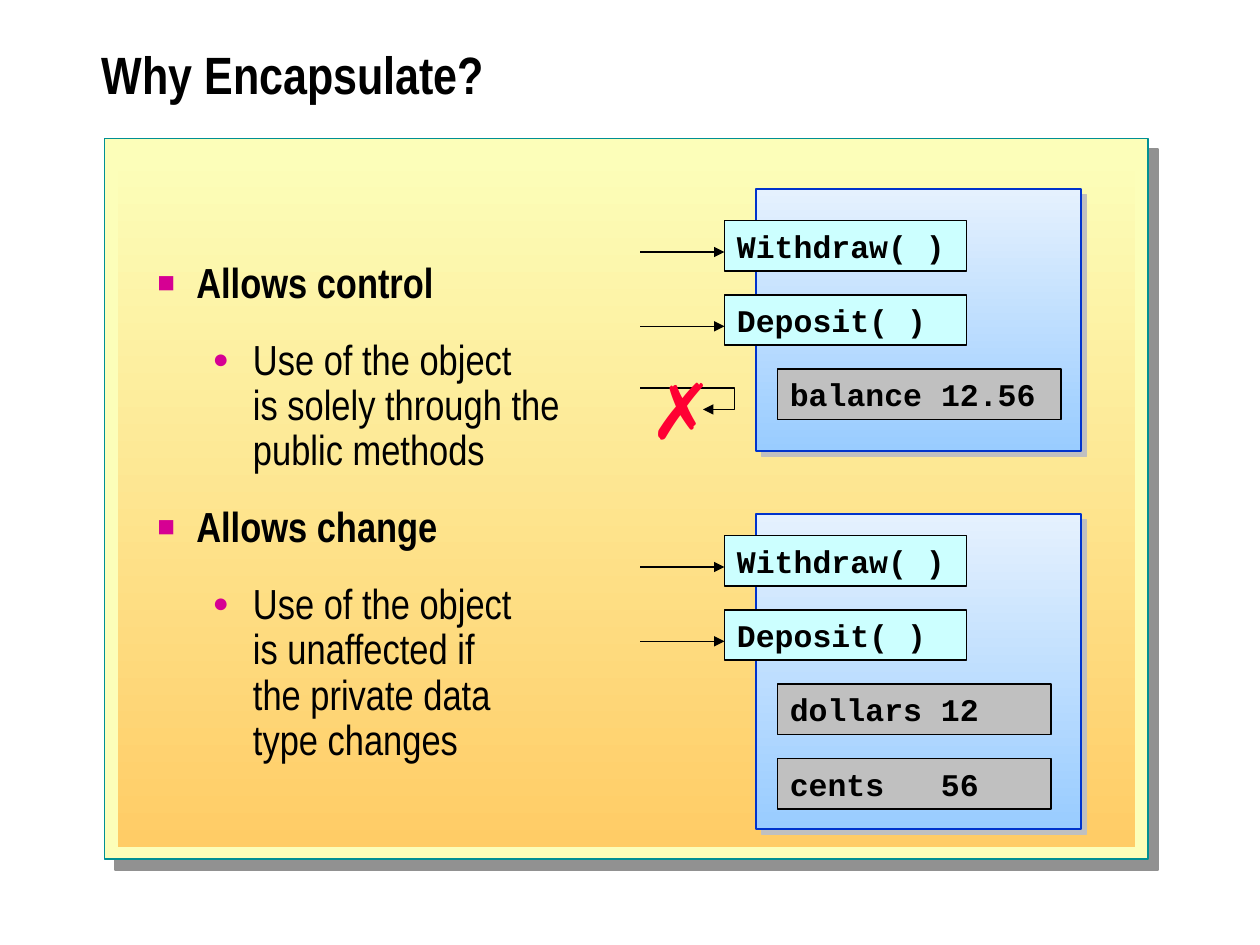
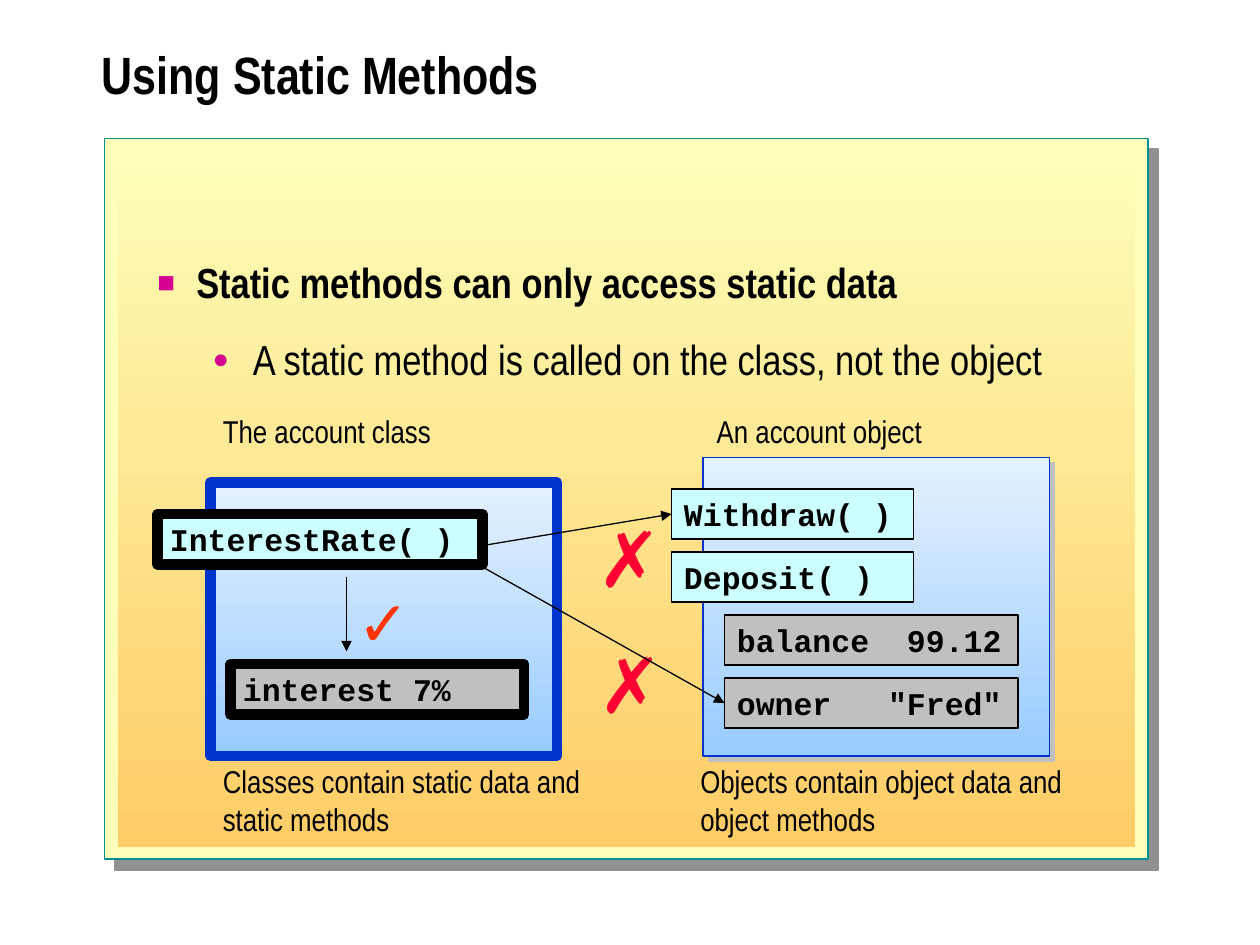
from lxml import etree
from pptx import Presentation
from pptx.dml.color import RGBColor
from pptx.enum.shapes import MSO_CONNECTOR, MSO_SHAPE
from pptx.enum.text import MSO_ANCHOR, MSO_AUTO_SIZE, PP_ALIGN
from pptx.oxml.ns import qn
from pptx.util import Inches, Pt

RECTANGLE = MSO_SHAPE.RECTANGLE
STRAIGHT, ELBOW = MSO_CONNECTOR.STRAIGHT, MSO_CONNECTOR.ELBOW
TOP, MIDDLE = MSO_ANCHOR.TOP, MSO_ANCHOR.MIDDLE
LEFT = PP_ALIGN.LEFT
FIT_SHAPE = MSO_AUTO_SIZE.SHAPE_TO_FIT_TEXT

BLACK = "000000"
PANEL_TOP, PANEL_BOTTOM = "FCFEB9", "FFCC66"
PANEL_LINE, PANEL_SHADOW = "009094", "919191"
OBJECT_TOP, OBJECT_BOTTOM = "E5F1FE", "99CCFF"
OBJECT_LINE, GREY = "0033CC", "C0C0C0"
METHOD_FILL = "CCFFFF"
BULLET = "D60093"
CROSS_RED, TICK_RED = "FF0033", "FF3300"

HEADING_FONT, CODE_FONT, MARK_FONT = "Arial Narrow", "Courier New", "Arial"
ROW_HEIGHT = 0.4
ARROW_DROP = 0.25
# Bullet character, size in percent, left margin and hanging indent per level
BULLET_LEVELS = [("■", 70, 0.31, 0.31), ("●", 65, 0.76, 0.32)]


def rgb(hex_colour):
    return RGBColor.from_string(hex_colour)


def add_xml(parent, tag, **attributes):
    values = {name: str(value) for name, value in attributes.items()}
    return etree.SubElement(parent, qn(tag), values)


def format_text(paragraph, font, size, colour=BLACK, bold=False):
    paragraph.alignment = LEFT
    for run in paragraph.runs:
        run.font.name = font
        run.font.size = Pt(size)
        run.font.bold = bold
        run.font.color.rgb = rgb(colour)


def fill_solid(shape, colour):
    shape.fill.solid()
    shape.fill.fore_color.rgb = rgb(colour)


def fill_downwards(shape, top_colour, bottom_colour):
    shape.fill.gradient()
    shape.fill.gradient_angle = 270
    for stop, colour, position in zip(
            shape.fill.gradient_stops, (top_colour, bottom_colour), (0, 1)):
        stop.color.rgb = rgb(colour)
        stop.position = position


def add_rectangle(slide, left, top, width, height, line=None, weight=1):
    rectangle = slide.shapes.add_shape(
        RECTANGLE, Inches(left), Inches(top), Inches(width), Inches(height))
    rectangle.shadow.inherit = False
    if line:
        rectangle.line.color.rgb = rgb(line)
        rectangle.line.width = Pt(weight)
    else:
        rectangle.line.fill.background()
    return rectangle


def drop_shadow(shape, colour, distance):
    """Cast a hard shadow to the lower right, distance in points."""
    effects = shape._element.spPr.find(qn("a:effectLst"))
    shadow = add_xml(effects, "a:outerShdw", blurRad=0, dist=Pt(distance),
                     dir=45 * 60000, algn="ctr", rotWithShape=0)
    add_xml(shadow, "a:srgbClr", val=colour)


def add_text(slide, left, top, width, height, text, wrap=True):
    box = slide.shapes.add_textbox(
        Inches(left), Inches(top), Inches(width), Inches(height))
    frame = box.text_frame
    frame.text = text
    frame.word_wrap = wrap
    if not wrap:
        frame.auto_size = FIT_SHAPE
    return frame


def add_caption(slide, left, top, width, height, text):
    frame = add_text(slide, left, top, width, height, text, wrap=False)
    for paragraph in frame.paragraphs:
        format_text(paragraph, HEADING_FONT, 18)


def add_mark(slide, left, top, symbol, size, colour):
    frame = add_text(slide, left, top, 0.62, 0.83, symbol, wrap=False)
    format_text(frame.paragraphs[0], MARK_FONT, size, colour)


def add_cross(slide, left, top):
    add_mark(slide, left, top, "✗", 44, CROSS_RED)


def add_arrow(slide, start, end, kind=STRAIGHT, bend=None):
    """Draw an arrow; bend is the elbow's place in thousandths of a percent."""
    arrow = slide.shapes.add_connector(
        kind, *(Inches(length) for length in (*start, *end)))
    arrow.line.color.rgb = rgb(BLACK)
    arrow.line.width = Pt(0.75)
    properties = arrow._element.spPr
    add_xml(properties.find(qn("a:ln")), "a:tailEnd", type="triangle")
    add_xml(properties, "a:effectLst")
    if bend:
        guides = properties.find(qn("a:prstGeom")).find(qn("a:avLst"))
        add_xml(guides, "a:gd", name="adj1", fmla=f"val {bend}")


def add_member(slide, left, top, width, text, fill, weight=1, tab=None):
    """Draw a method or field row; tab is the column of its value."""
    member = add_rectangle(slide, left, top, width, ROW_HEIGHT, BLACK, weight)
    fill_solid(member, fill)
    frame = member.text_frame
    frame.text = text
    frame.word_wrap = True
    frame.vertical_anchor = TOP
    frame.auto_size = FIT_SHAPE
    paragraph = frame.paragraphs[0]
    format_text(paragraph, CODE_FONT, 18, bold=True)
    if tab:
        stops = add_xml(paragraph._p.get_or_add_pPr(), "a:tabLst")
        add_xml(stops, "a:tab", pos=Inches(tab), algn="l")


def add_container(slide, left, top, width, height, weight=0.75):
    container = add_rectangle(slide, left, top, width, height,
                              OBJECT_LINE, weight)
    fill_downwards(container, OBJECT_TOP, OBJECT_BOTTOM)
    return container


def add_account(slide, left, top, width, height, first_row, pitch,
                field_width, fields):
    """Draw an account object with its two methods and its (text, tab) fields."""
    drop_shadow(add_container(slide, left, top, width, height), GREY, 4.2)
    for row, method in enumerate(("Withdraw( )", "Deposit( )")):
        add_member(slide, left - 0.25, first_row + row * pitch, 1.92,
                   method, METHOD_FILL)
    for row, (field, tab) in enumerate(fields, start=2):
        add_member(slide, left + 0.17, first_row + row * pitch, field_width,
                   field, GREY, tab=tab)


def add_bullets(slide, points):
    frame = add_text(slide, 1.15, 2.03, 7.87, 4.69, "")
    for number, (level, text) in enumerate(points):
        paragraph = frame.add_paragraph() if number else frame.paragraphs[0]
        paragraph.text = text
        paragraph.level = level
        paragraph.line_spacing = 0.9
        paragraph.space_before = Pt(18)
        format_text(paragraph, HEADING_FONT, 24, bold=level == 0)
        symbol, percent, margin, hanging = BULLET_LEVELS[level]
        properties = paragraph._p.get_or_add_pPr()
        properties.set("marL", str(Inches(margin)))
        properties.set("indent", str(-Inches(hanging)))
        add_xml(add_xml(properties, "a:buClr"), "a:srgbClr", val=BULLET)
        add_xml(properties, "a:buSzPct", val=percent * 1000)
        add_xml(properties, "a:buFont", typeface=MARK_FONT)
        add_xml(properties, "a:buChar", char=symbol)


def add_base_slide(deck, title, points):
    """Add a slide with the title, the yellow panel and the bullet points."""
    slide = deck.slides.add_slide(deck.slide_layouts[6])
    frame_panel = add_rectangle(slide, 0.83, 1.1, 8.28, 5.72, PANEL_LINE)
    fill_solid(frame_panel, PANEL_TOP)
    drop_shadow(frame_panel, PANEL_SHADOW, 8.5)
    inner_panel = add_rectangle(slide, 0.94, 1.22, 8.07, 5.5)
    fill_downwards(inner_panel, PANEL_TOP, PANEL_BOTTOM)

    heading = add_text(slide, 0.71, 0.17, 8.96, 0.92, title)
    heading.vertical_anchor = MIDDLE
    heading.paragraphs[0].line_spacing = 0.8
    format_text(heading.paragraphs[0], HEADING_FONT, 30, bold=True)
    add_bullets(slide, points)
    return slide


def build_encapsulation(deck):
    slide = add_base_slide(deck, "Why Encapsulate?", [
        (0, "Allows control"),
        (1, "Use of the object\nis solely through the\npublic methods"),
        (0, "Allows change"),
        (1, "Use of the object\nis unaffected if\n"
            "the private data\ntype changes"),
    ])
    pitch = 0.59
    accounts = [
        (1.5, 2.08, 1.75, 2.25, [("balance 12.56", None)]),
        (4.08, 2.5, 4.25, 2.17, [("dollars 12", None), ("cents\t56", 1.2)]),
    ]
    for top, height, first_row, field_width, fields in accounts:
        add_account(slide, 6, top, 2.58, height, first_row, pitch,
                    field_width, fields)
        for row in range(2):
            call = first_row + row * pitch + ARROW_DROP
            add_arrow(slide, (5.08, call), (5.75, call))
    add_arrow(slide, (5.08, 3.08), (5.58, 3.25), ELBOW, bend=150000)
    add_cross(slide, 5.06, 2.83)


def build_static_methods(deck):
    slide = add_base_slide(deck, "Using Static Methods", [
        (0, "Static methods can only access static data"),
        (1, "A static method is called on the class, not the object"),
    ])
    add_container(slide, 1.67, 3.83, 2.75, 2.17, weight=6)
    add_member(slide, 1.25, 4.08, 2.58, "InterestRate( )", METHOD_FILL, 6)
    add_member(slide, 1.83, 5.27, 2.33, "interest 7%", GREY, 6)
    add_account(slide, 5.58, 3.63, 2.75, 2.37, 3.88, 0.5, 2.33,
                [("balance\t99.12", 1.35), ('owner\t"Fred"', 1.2)])

    add_caption(slide, 1.67, 3.22, 1.85, 0.4, "The account class")
    add_caption(slide, 5.59, 3.22, 1.83, 0.4, "An account object")
    add_caption(slide, 1.67, 6, 3.09, 0.7,
                "Classes contain static data and\nstatic methods")
    add_caption(slide, 5.46, 6, 3.13, 0.7,
                "Objects contain object data and\nobject methods")

    add_cross(slide, 4.65, 5)
    add_arrow(slide, (2.75, 4.58), (2.75, 5.17))
    add_arrow(slide, (3.83, 4.33), (5.33, 4.08))
    add_arrow(slide, (3.83, 4.5), (5.75, 5.58))
    add_cross(slide, 4.64, 4)
    add_mark(slide, 2.74, 4.58, "✓", 36, TICK_RED)


def main():
    deck = Presentation()
    deck.slide_width = Inches(10)
    deck.slide_height = Inches(7.5)
    build_encapsulation(deck)
    build_static_methods(deck)
    deck.save("out.pptx")


if __name__ == "__main__":
    main()
